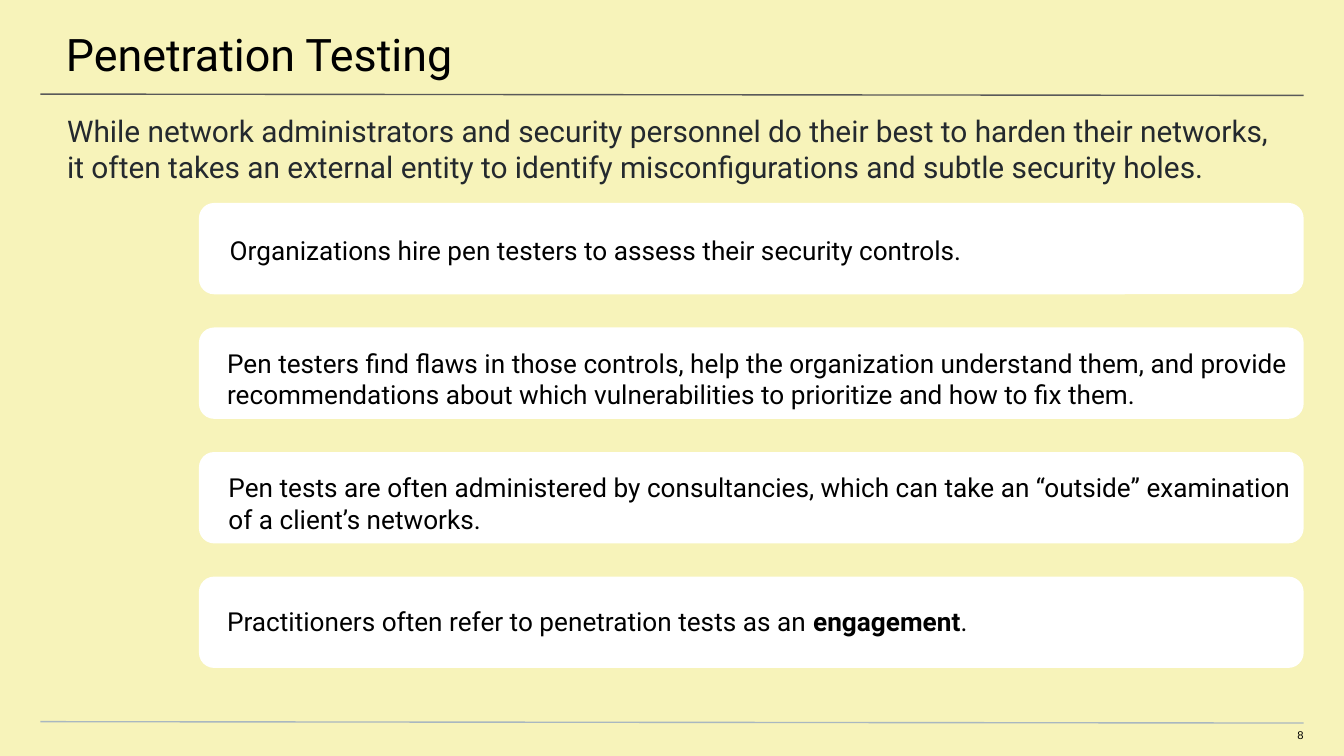
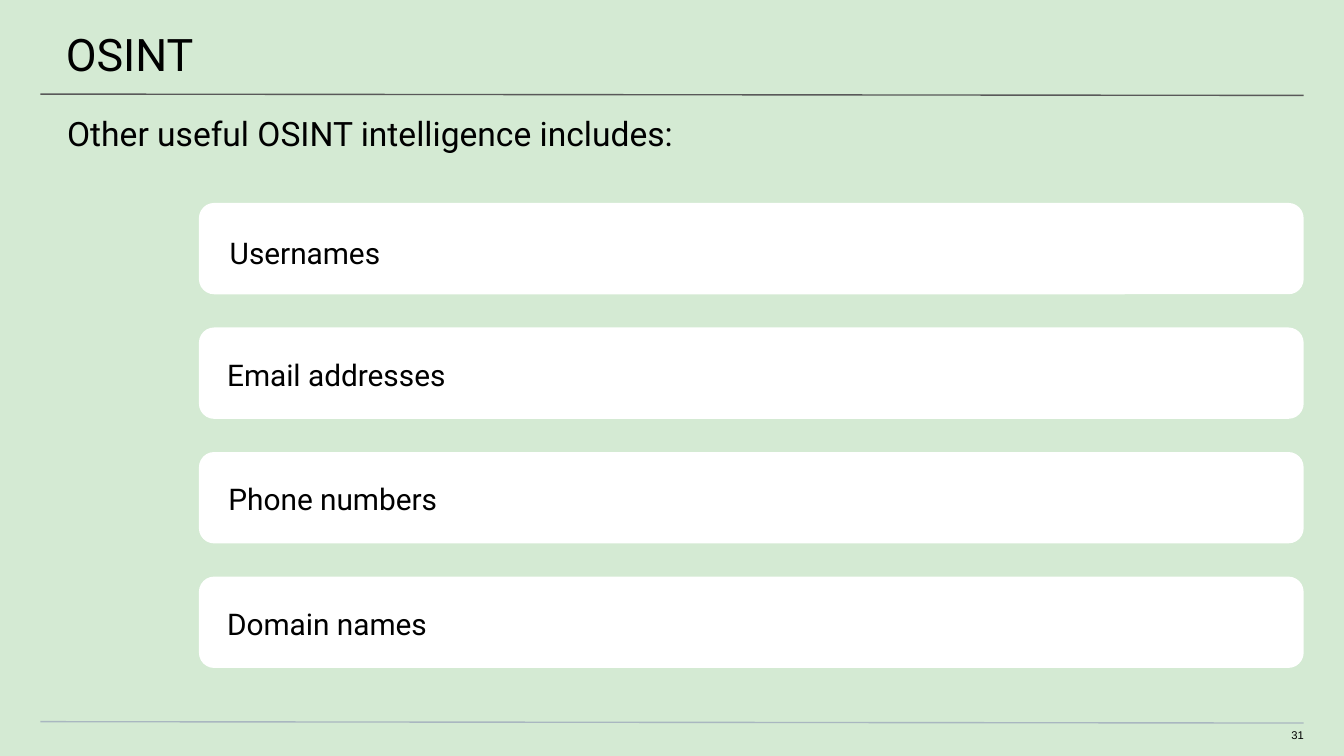
from pptx import Presentation
from pptx.dml.color import RGBColor as RGB
from pptx.enum.shapes import MSO_CONNECTOR as LINK, MSO_SHAPE as FORM
from pptx.enum.text import MSO_ANCHOR as ANCHOR, PP_ALIGN as ALIGN
from pptx.oxml.ns import qn
from pptx.util import Inches, Pt
from lxml.etree import SubElement

HUE = {
    "yellow": "F7F3BA", "green": "D4EAD3", "card": "FFFFFF",
    "black": "000000", "ink": "24292E", "rule": "595959", "foot": "A9B7C0",
}
SNUG = (1.7, 0, 0.5, 0)
DROP = (1.7, 0.2, 0.3, 0.1)
SHIFTS = (0.01, -0.01, 0, -0.01)


def color(name):
    return RGB.from_string(HUE[name])


def add_text(slide, box, pads, runs, size, hue="black", face="Roboto",
             anchor=ANCHOR.TOP, align=ALIGN.LEFT, lead=None):
    """Add one paragraph; runs holds (text, bold) pairs."""
    frame = slide.shapes.add_textbox(*map(Inches, box)).text_frame
    frame.word_wrap = True
    frame.vertical_anchor = anchor
    (frame.margin_left, frame.margin_top,
     frame.margin_right, frame.margin_bottom) = map(Inches, pads)
    para = frame.paragraphs[0]
    para.alignment = align
    if lead:
        para.line_spacing = lead
    font = para.font
    font.name, font.size = face, Pt(size)
    font.color.rgb = color(hue)
    for words, bold in runs:
        run = para.add_run()
        run.text = words
        if bold:
            run.font.bold = True


def add_rule(slide, top, hue):
    ends = map(Inches, (0.3, top, 9.7, top + 0.01))
    line = slide.shapes.add_connector(LINK.STRAIGHT, *ends)
    line.line.color.rgb = color(hue)
    line.line.width = Pt(0.75)
    SubElement(line._element.spPr, qn("a:effectLst"))


def add_card(slide, box):
    card = slide.shapes.add_shape(FORM.ROUNDED_RECTANGLE, *map(Inches, box))
    card.adjustments[0] = 0.167
    card.shadow.inherit = False
    card.fill.solid()
    card.fill.fore_color.rgb = color("card")
    card.line.fill.background()


def add_list(slide, box, items, size, lead):
    """Stack cards down the box; items holds (runs, pads) pairs."""
    left, top, width, height = box
    tall = 0.68
    step = (height - tall) / (len(items) - 1)
    for i in range(len(items)):
        add_card(slide, (left, top + i * step, width, tall))
    for i, (runs, pads) in enumerate(items):
        drop = 0.02 if i == 0 else 0
        add_text(slide, (left - 1.48 + SHIFTS[i], top + i * step + drop,
                         10.03, 0.66),
                 pads, runs, size, anchor=ANCHOR.MIDDLE, lead=lead)


def add_slide(deck, back, title, intro, number, items, size, lead=None):
    """Add a list slide; intro is (text, size, hue)."""
    slide = deck.slides.add_slide(deck.slide_layouts[6])
    slide.background.fill.solid()
    slide.background.fill.fore_color.rgb = color(back)
    add_rule(slide, 0.7, "rule")
    add_rule(slide, 5.37, "foot")
    add_list(slide, (1.48, 1.51, 8.22, 3.46), items, size, lead)
    add_text(slide, (-0.01, 0, 10.03, 0.58), (0.5, 0.2, 0.3, 0.1),
             [(title, False)], 24)
    words, large, hue = intro
    add_text(slide, (0, 0.74, 10, 0.4), (0.5, 0.1, 0.5, 0),
             [(words, False)], large, hue)
    add_text(slide, (9.41, 5.42, 0.29, 0.12), (0, 0, 0, 0.1),
             [(number, False)], 6, face="Arial", align=ALIGN.RIGHT)


def main():
    deck = Presentation()
    deck.slide_width = Inches(10)
    deck.slide_height = Inches(10 * 9 / 16)
    add_slide(
        deck, "yellow", "Penetration Testing",
        ("While network administrators and security personnel do their best "
         "to harden their networks, it often takes an external entity to "
         "identify misconfigurations and subtle security holes.", 16, "ink"),
        "8",
        [([("Organizations hire pen testers to assess their security "
            "controls.", False)], SNUG),
         ([("Pen testers find flaws in those controls, help the organization "
            "understand them, and provide recommendations about which "
            "vulnerabilities to prioritize and how to fix them.", False)],
          DROP),
         ([("Pen tests are often administered by consultancies, which can "
            "take an “outside” examination of a client’s networks.", False)],
          DROP),
         ([("Practitioners often refer to penetration tests as an ", False),
           ("engagement", True), (".", False)], SNUG)],
        14)
    names = ("Usernames", "Email addresses", "Phone numbers", "Domain names")
    add_slide(
        deck, "green", "OSINT",
        ("Other useful OSINT intelligence includes:", 18, "black"), "31",
        [([(name, False)], SNUG) for name in names], 16, 1.15)
    deck.save("out.pptx")


if __name__ == "__main__":
    main()
